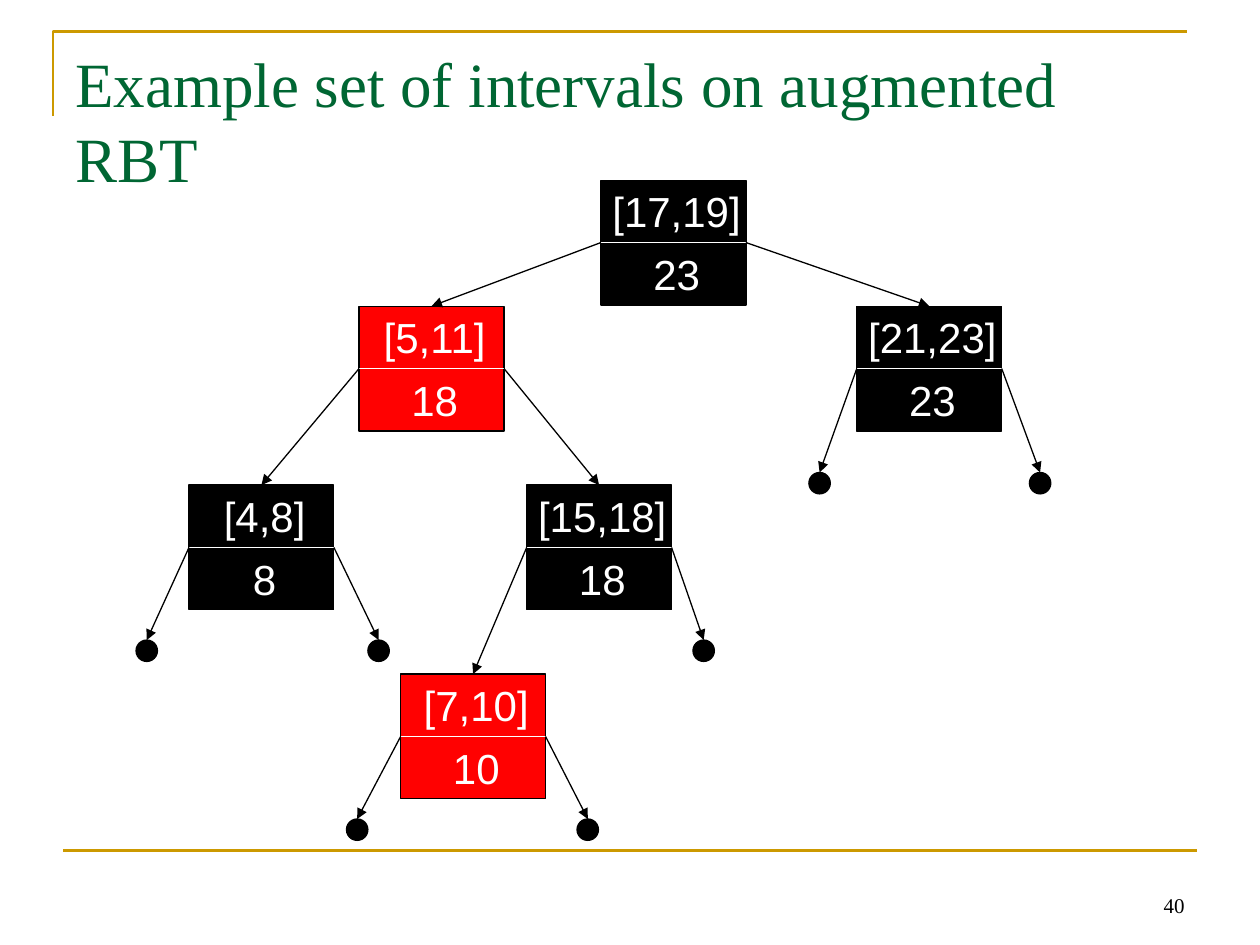
import pptx
import pptx.util
import pptx.dml.color
import pptx.enum.shapes
import pptx.enum.text
import pptx.oxml
import pptx.oxml.ns

Inches, Pt = pptx.util.Inches, pptx.util.Pt
RGB = pptx.dml.color.RGBColor
SHAPE = pptx.enum.shapes.MSO_SHAPE
ANCHOR = pptx.enum.text.MSO_ANCHOR
ALIGN = pptx.enum.text.PP_ALIGN

BLACK, WHITE, RED = RGB(0, 0, 0), RGB(255, 255, 255), RGB(255, 1, 1)
GOLD, GREEN = RGB(0xCC, 0x99, 0), RGB(0, 0x66, 0x33)
SERIF, SANS = "Times New Roman", "Arial"

TITLE = "Example set of intervals on augmented RBT"
NUMBER = "40"

# Tree nodes: interval, largest end, left, top, fill
NODES = {
    "root": ("[17,19]", "23", 4.77, 1.43, BLACK),
    "l": ("[5,11]", "18", 2.85, 2.43, RED),
    "r": ("[21,23]", "23", 6.8, 2.43, BLACK),
    "ll": ("[4,8]", "8", 1.5, 3.85, BLACK),
    "lr": ("[15,18]", "18", 4.18, 3.85, BLACK),
    "lrl": ("[7,10]", "10", 3.18, 5.35, RED),
}
# Empty leaves: left, top
LEAVES = {
    "rl": (6.42, 3.75), "rr": (8.17, 3.75),
    "lll": (1.08, 5.08), "llr": (2.92, 5.08), "lrr": (5.5, 5.08),
    "lrll": (2.75, 6.5), "lrlr": (4.58, 6.5),
}
NODE_W, NODE_H, LEAF = 1.15, 0.99, 0.17
TEXT_H, TEXT_X = 0.5, 0.6
TOP, LEFT, RIGHT = 0, 1, 3

deck = pptx.Presentation()
deck.slide_width, deck.slide_height = Inches(10), Inches(7.5)
slide = deck.slides.add_slide(deck.slide_layouts[6])
shapes = slide.shapes


def add_text(text, x, y, w, h, size, font, color, align=ALIGN.LEFT,
             anchor=ANCHOR.TOP, wrap=True):
    box = shapes.add_textbox(Inches(x), Inches(y), Inches(w), Inches(h))
    frame = box.text_frame
    frame.text = text
    frame.word_wrap = wrap
    frame.vertical_anchor = anchor
    par = frame.paragraphs[0]
    par.alignment = align
    style = par.runs[0].font
    style.size, style.name = Pt(size), font
    style.color.rgb = color


def add_solid(kind, x, y, w, h, fill):
    part = shapes.add_shape(kind, Inches(x), Inches(y), Inches(w), Inches(h))
    part.shadow.inherit = False
    part.fill.solid()
    part.fill.fore_color.rgb = fill
    part.line.color.rgb = BLACK
    part.line.width = Pt(0.75)
    return part


def add_line(x1, y1, x2, y2, color, width):
    line = shapes.add_connector(
        pptx.enum.shapes.MSO_CONNECTOR.STRAIGHT,
        Inches(x1), Inches(y1), Inches(x2), Inches(y2))
    line.line.color.rgb = color
    line.line.width = Pt(width)
    props = line.line._get_or_add_ln().getparent()
    props.append(pptx.oxml.parse_xml(
        "<a:effectLst %s/>" % pptx.oxml.ns.nsdecls("a")))
    return line


def join(start, side, end, goal, color):
    line = add_line(0, 0, 1, 1, color, 0.75)
    line.begin_connect(start, side)
    line.end_connect(end, goal)
    return line


def add_label(text, middle, y):
    # Digits are twice as wide as brackets and commas
    width = 0.2 + sum(0.19 if c.isdigit() else 0.09 for c in text)
    add_text(text, middle - width / 2, y, width, TEXT_H, 24, SANS, WHITE,
             ALIGN.CENTER, wrap=False)


# Frame rules
path = shapes.build_freeform(Inches(0.42), Inches(0.92), scale=1.0)
path.add_line_segments(
    [(Inches(0.42), Inches(0.25)), (Inches(9.42), Inches(0.25))], close=False)
corner = path.convert_to_shape()
corner.shadow.inherit = False
corner.fill.background()
corner.line.color.rgb = GOLD
corner.line.width = Pt(1.5)
add_line(0.5, 6.75, 9.5, 6.75, GOLD, 1.5)

# Title and slide number
add_text(TITLE, 0.5, 0.3, 9, 1.25, 36, SERIF, GREEN)
add_text(NUMBER, 7.17, 6.83, 2.33, 0.5, 12, SERIF, BLACK,
         ALIGN.RIGHT, ANCHOR.BOTTOM)

# Nodes and leaves
tree = {}
for key, (span, high, x, y, fill) in NODES.items():
    node = tree[key] = add_solid(SHAPE.RECTANGLE, x, y, NODE_W, NODE_H, fill)
    for row, text in enumerate((span, high)):
        add_label(text, x + TEXT_X, y - 0.01 + row * TEXT_H)
    join(node, LEFT, node, RIGHT, WHITE)
for key, (x, y) in LEAVES.items():
    tree[key] = add_solid(SHAPE.OVAL, x, y, LEAF, LEAF, BLACK)

# Arrows from each node to its left and right child
for key in NODES:
    stem = "" if key == "root" else key
    for turn, side in (("l", LEFT), ("r", RIGHT)):
        arrow = join(tree[key], side, tree[stem + turn], TOP, BLACK)
        arrow.line._get_or_add_ln().append(pptx.oxml.parse_xml(
            '<a:tailEnd type="triangle" %s/>' % pptx.oxml.ns.nsdecls("a")))

deck.save("out.pptx")
